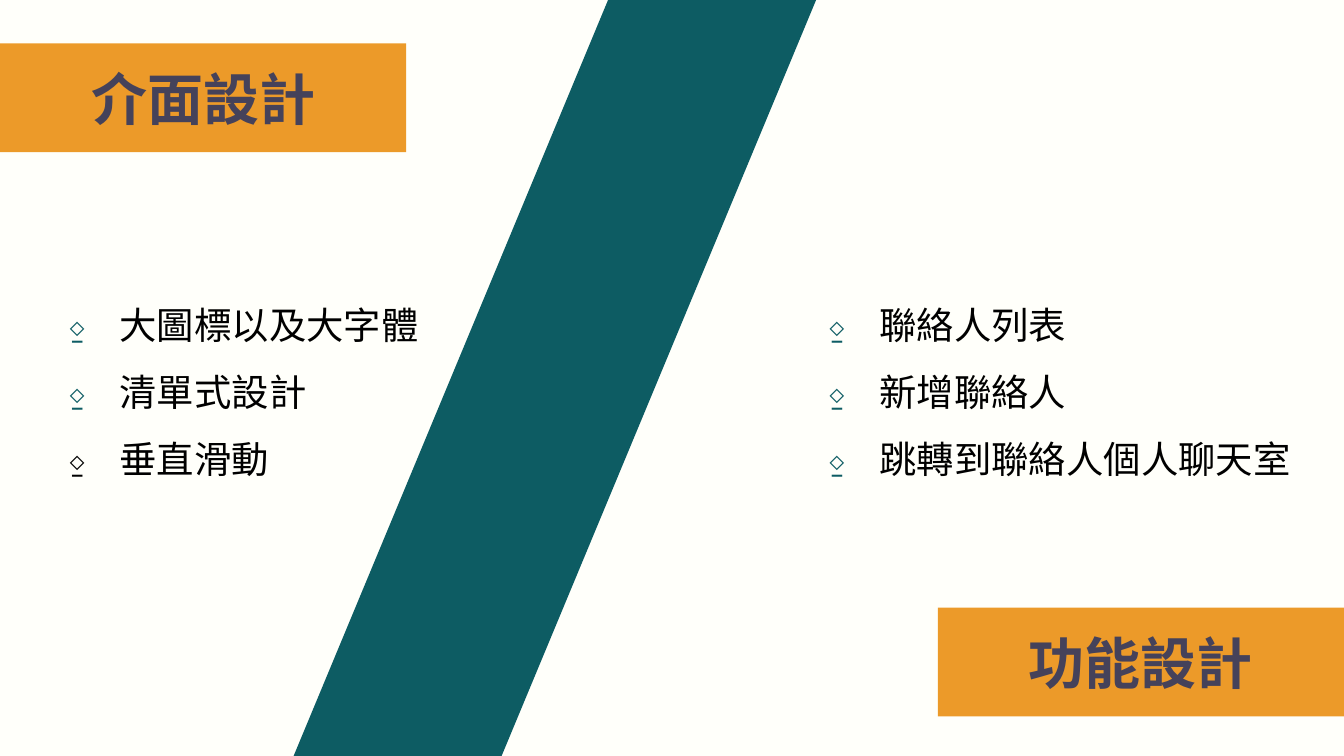
"""Build a slide with a slanted band, two headings and two bullet lists."""
import pptx
import pptx.util
import pptx.dml.color
import pptx.enum.shapes
import pptx.enum.text
import pptx.oxml
import pptx.oxml.ns
import lxml.etree

Pt = pptx.util.Pt
SHAPE = pptx.enum.shapes.MSO_SHAPE
TEXT = pptx.enum.text
COLORS = {"page": "FFFFFA", "teal": "0D5C63", "orange": "EC9A29",
          "plum": "45425A", "black": "000000"}


def paint(fill, name):
    fill.solid()
    fill.fore_color.rgb = pptx.dml.color.RGBColor.from_string(COLORS[name])


def style(para, text, size, color):
    para.text = text
    para.font.name = "Arial"
    para.font.size = Pt(size)
    paint(para.font.fill, color)


deck = pptx.Presentation()
deck.slide_width, deck.slide_height = Pt(720), Pt(405)
slide = deck.slides.add_slide(deck.slide_layouts[6])
paint(slide.background.fill, "page")

band = slide.shapes.add_shape(
    SHAPE.PARALLELOGRAM, Pt(225.4), Pt(-36.7), Pt(137.5), Pt(493.2))
band.adjustments[0] = 0.25
band.rotation = 18.6
band.shadow.inherit = False
paint(band.fill, "teal")
band.line.fill.background()

for title, left, top in [("介面設計", 0, 23.2), ("功能設計", 502.4, 325.5)]:
    label = slide.shapes.add_shape(
        SHAPE.RECTANGLE, Pt(left), Pt(top), Pt(217.6), Pt(58.3))
    label.shadow.inherit = False
    paint(label.fill, "orange")
    label.line.fill.background()
    label.text_frame.vertical_anchor = TEXT.MSO_ANCHOR.MIDDLE
    para = label.text_frame.paragraphs[0]
    para.alignment = TEXT.PP_ALIGN.CENTER
    style(para, title, 30, "plum")
    para.font.bold = True

lists = [
    (21, 236, [("大圖標以及大字體", "teal"), ("清單式設計", "teal"),
               ("垂直滑動", "black")]),
    (428, 274, [("聯絡人列表", "teal"), ("新增聯絡人", "teal"),
                ("跳轉到聯絡人個人聊天室", "teal")]),
]
for left, width, items in lists:
    box = slide.shapes.add_textbox(Pt(left), Pt(142.5), Pt(width), Pt(111.6))
    frame = box.text_frame
    frame.word_wrap = True
    frame.auto_size = TEXT.MSO_AUTO_SIZE.SHAPE_TO_FIT_TEXT
    frame.margin_left = frame.margin_right = Pt(7.2)
    frame.margin_top = frame.margin_bottom = Pt(7.2)
    for index, (item, mark) in enumerate(items):
        para = frame.add_paragraph() if index else frame.paragraphs[0]
        para.line_spacing = 1.5
        props = para._p.get_or_add_pPr()
        props.set("marL", str(Pt(36)))
        props.set("indent", str(Pt(-28)))
        tint = lxml.etree.SubElement(props, pptx.oxml.ns.qn("a:buClr"))
        lxml.etree.SubElement(
            tint, pptx.oxml.ns.qn("a:srgbClr"), val=COLORS[mark])
        lxml.etree.SubElement(
            props, pptx.oxml.ns.qn("a:buFont"), typeface="Arial")
        lxml.etree.SubElement(props, pptx.oxml.ns.qn("a:buChar"), char="⍚")
        style(para, item, 20, "black")

deck.save("out.pptx")
